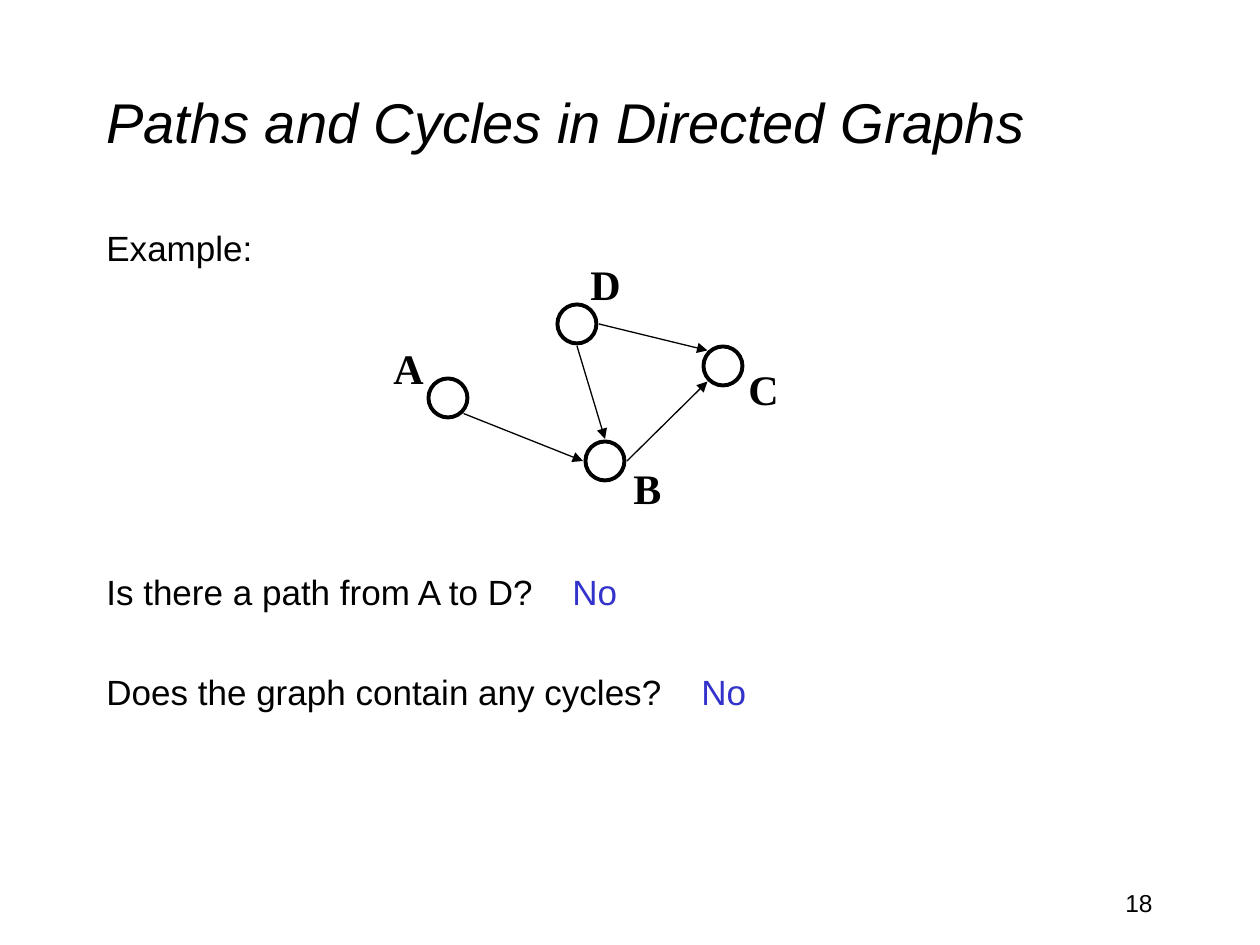
from math import cos, radians, sin

from lxml import etree
from pptx import Presentation
from pptx.dml.color import RGBColor
from pptx.enum.shapes import MSO_CONNECTOR, MSO_SHAPE
from pptx.enum.text import MSO_ANCHOR, PP_ALIGN
from pptx.oxml.ns import qn
from pptx.util import Emu, Pt

COLORS = {name: RGBColor.from_string(value) for name, value in {
    "ink": "000000", "answer": "3333CC", "paper": "FFFFFF"}.items()}


def px(length):
    return Emu(round(length * 914400 / 126))


def add_text(box, paragraphs, size, font="Arial", bold=False, italic=False,
             align=PP_ALIGN.LEFT, anchor=MSO_ANCHOR.TOP, wrap=True):
    """Each paragraph is (space before in points, answer tab in px, [(text, color)])."""
    frame = slide.shapes.add_textbox(*map(px, box)).text_frame
    frame.word_wrap = wrap
    frame.vertical_anchor = anchor
    for index, (space, tab, parts) in enumerate(paragraphs):
        paragraph = frame.add_paragraph() if index else frame.paragraphs[0]
        paragraph.alignment = align
        paragraph.space_before = Pt(space)
        if tab:
            stops = etree.SubElement(paragraph._p.get_or_add_pPr(), qn("a:tabLst"))
            etree.SubElement(stops, qn("a:tab"), pos=str(px(tab)), algn="l")
        for text, color in parts:
            run = paragraph.add_run()
            run.text = text
            run.font.name = font
            run.font.size = Pt(size)
            run.font.bold = bold
            run.font.italic = italic
            run.font.color.rgb = COLORS[color]


presentation = Presentation()
presentation.slide_width, presentation.slide_height = px(1260), px(945)
slide = presentation.slides.add_slide(presentation.slide_layouts[6])

add_text((94, 42, 1071, 158),
         [(0, 0, [("Paths and Cycles in Directed Graphs", "ink")])],
         size=32, italic=True, anchor=MSO_ANCHOR.MIDDLE)
add_text((94, 220, 1071, 536), [
    (4, 0, [("Example:", "ink")]),
    (173, 466, [("Is there a path from A to D?\t", "ink"), ("No", "answer")]),
    (33, 595, [("Does the graph contain any cycles?\t", "ink"), ("No", "answer")]),
], size=20)
add_text((903, 882, 262, 63), [(0, 0, [("18", "ink")])],
         size=14, align=PP_ALIGN.RIGHT)

# Node: centre, then left and top of its label
nodes = {
    "A": ((448, 398), (381, 336)),
    "B": ((605, 461), (621, 456)),
    "C": ((723, 366), (736, 357)),
    "D": ((577, 324), (578, 252)),
}
DIAMETER = 39
EDGE_RADIUS = 22

for label, ((x, y), label_corner) in nodes.items():
    circle = slide.shapes.add_shape(
        MSO_SHAPE.OVAL, px(x - DIAMETER / 2), px(y - DIAMETER / 2),
        px(DIAMETER), px(DIAMETER))
    circle.shadow.inherit = False
    circle.fill.solid()
    circle.fill.fore_color.rgb = COLORS["paper"]
    circle.line.color.rgb = COLORS["ink"]
    circle.line.width = Pt(2.25)
    add_text((*label_corner, 50, 54), [(0, 0, [(label, "ink")])],
             size=24, font="Times New Roman", bold=True, wrap=False)

# Edge: tail and head node, each with the angle (clockwise from right) it meets
edges = [("A", 45, "B", 180), ("B", 0, "C", 135),
         ("D", 0, "C", 225), ("D", 90, "B", 270)]
for tail, tail_angle, head, head_angle in edges:
    ends = []
    for node, angle in ((tail, tail_angle), (head, head_angle)):
        x, y = nodes[node][0]
        ends += [px(x + EDGE_RADIUS * cos(radians(angle))),
                 px(y + EDGE_RADIUS * sin(radians(angle)))]
    edge = slide.shapes.add_connector(MSO_CONNECTOR.STRAIGHT, *ends)
    edge.line.color.rgb = COLORS["ink"]
    edge.line.width = Pt(0.75)
    etree.SubElement(edge.line._get_or_add_ln(), qn("a:tailEnd"), type="triangle")
    etree.SubElement(edge._element.spPr, qn("a:effectLst"))

presentation.save("out.pptx")
